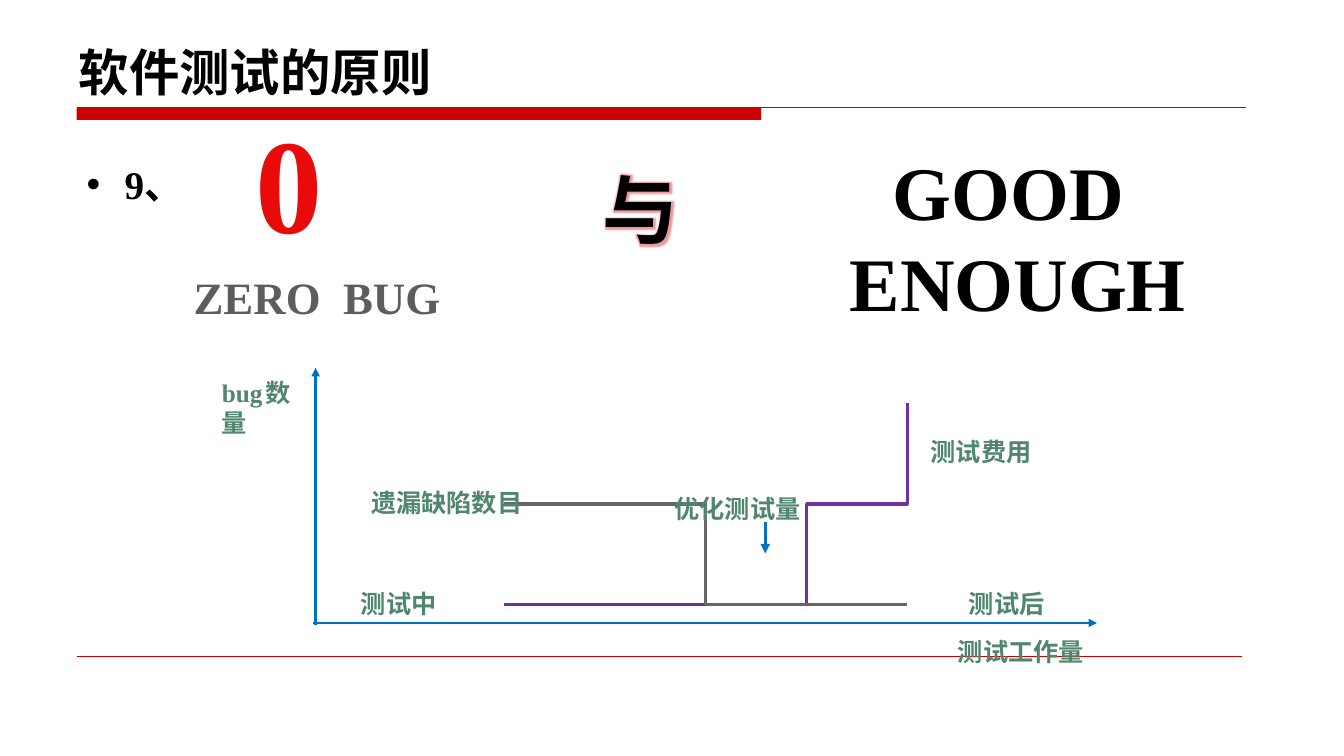
from dataclasses import dataclass

from lxml import etree
from pptx import Presentation
from pptx import util as u
from pptx.dml.color import RGBColor
from pptx.enum import shapes, text
from pptx.oxml import ns


@dataclass(frozen=True)
class Theme:
    """Colours, type sizes and font of the slide."""
    font: str = "Times New Roman"
    black: str = "000000"
    rule: str = "CC0000"
    zero: str = "E90A0A"
    glow: str = "CC0000"
    grey: str = "5D5D5D"
    axis: str = "0070C0"
    cost: str = "7030A0"
    defects: str = "666666"
    label: str = "51866E"
    title_size: int = 36
    item_size: int = 28
    zero_size: int = 96
    slogan_size: int = 54
    caption_size: int = 32
    label_size: int = 18


COST_CURVE = [
    (5.09, 6.06), (6.09, 6.02), (6.6, 5.93), (6.86, 5.88), (6.96, 5.85),
    (7.22, 5.77), (7.37, 5.72), (7.57, 5.61), (7.68, 5.57), (7.78, 5.51),
    (7.85, 5.48), (7.95, 5.41), (8, 5.39), (8.19, 5.27), (8.21, 5.23),
    (8.26, 5.21), (8.41, 5.07), (8.55, 4.93), (8.61, 4.85), (8.7, 4.77),
    (8.76, 4.69), (8.8, 4.59), (8.89, 4.44), (8.96, 4.37), (8.97, 4.33)]
DEFECT_CURVE = [
    (5.07, 4.64), (5.25, 4.66), (5.38, 4.7), (5.54, 4.76), (5.72, 4.81),
    (5.77, 4.84), (5.88, 4.87), (6.11, 4.96), (6.33, 5.05), (6.38, 5.08),
    (6.49, 5.11), (6.64, 5.17), (6.85, 5.27), (7.05, 5.34), (7.18, 5.4),
    (7.24, 5.44), (7.31, 5.46), (7.43, 5.51), (7.59, 5.56), (7.7, 5.62),
    (7.77, 5.63), (7.98, 5.69), (8.22, 5.77), (8.45, 5.82), (8.68, 5.85),
    (8.9, 5.89), (9.13, 5.93), (9.3, 5.97), (9.46, 5.99)]
LABELS = [
    ("bug数量", 2.2, 3.74, 0.68, 2.02),
    ("测试工作量", 9.5, 6.31, 1.98, 0.32),
    ("测试中", 3.58, 5.84, 1.23, 0.29),
    ("测试后", 9.61, 5.84, 1.16, 0.32),
    ("测试费用", 9.23, 4.33, 2.01, 0.33),
    ("遗漏缺陷数目", 3.68, 4.83, 2.09, 0.32),
    ("优化测试量", 6.69, 4.89, 2.02, 0.29)]


class Painter:
    """Draws styled elements on the current slide."""

    def __init__(self, page, theme):
        self.page = page
        self.theme = theme

    def set_words(self, box, wording, size, color, align):
        box.text_frame.text = wording
        for para in box.text_frame.paragraphs:
            para.alignment = align
            para.space_before = u.Pt(0)
            for span in para.runs:
                span.font.size = u.Pt(size)
                span.font.name = self.theme.font
                span.font.bold = True
                span.font.color.rgb = RGBColor.from_string(color)

    def place(self, box, left, top, width, height):
        box.left, box.top = u.Inches(left), u.Inches(top)
        box.width, box.height = u.Inches(width), u.Inches(height)

    def title(self, wording, *frame):
        box = self.page.shapes.title
        self.place(box, *frame)
        self.set_words(box, wording, self.theme.title_size, self.theme.black, text.PP_ALIGN.LEFT)
        box.text_frame.auto_size = text.MSO_AUTO_SIZE.NONE
        box.text_frame.vertical_anchor = text.MSO_ANCHOR.BOTTOM

    def item(self, wording, *frame):
        box = self.page.placeholders[1]
        self.place(box, *frame)
        box.text_frame.text = wording
        para = box.text_frame.paragraphs[0]
        properties = para._p.get_or_add_pPr()
        properties.set("marL", str(u.Inches(0.51)))
        properties.set("indent", str(-u.Inches(0.51)))
        etree.SubElement(properties, ns.qn("a:buNone"))
        self.set_words(box, wording, self.theme.item_size, self.theme.black, text.PP_ALIGN.LEFT)
        box.text_frame.paragraphs[0].line_spacing = 1.5
        box.text_frame.auto_size = text.MSO_AUTO_SIZE.NONE

    def slogan(self, wording, size, color, *frame):
        box = self.page.shapes.add_textbox(*map(u.Inches, frame))
        self.set_words(box, wording, size, color, text.PP_ALIGN.CENTER)
        box.text_frame.word_wrap = False
        return box

    def add_glow(self, box, color, radius):
        fill = box.text_frame.paragraphs[0].runs[0]._r.rPr.find(ns.qn("a:solidFill"))
        effects = etree.Element(ns.qn("a:effectLst"))
        glow = etree.SubElement(effects, ns.qn("a:glow"), rad=str(u.Pt(radius)))
        shade = etree.SubElement(glow, ns.qn("a:srgbClr"), val=color)
        etree.SubElement(shade, ns.qn("a:alpha"), val="40000")
        fill.addnext(effects)

    def label(self, wording, *frame):
        box = self.page.shapes.add_textbox(*map(u.Inches, frame))
        self.set_words(box, wording, self.theme.label_size, self.theme.label, text.PP_ALIGN.JUSTIFY)
        area = box.text_frame
        area.word_wrap = True
        area.margin_left = area.margin_right = area.margin_top = area.margin_bottom = 0

    def bar(self, color, *frame):
        box = self.page.shapes.add_shape(shapes.MSO_SHAPE.RECTANGLE, *map(u.Inches, frame))
        box.shadow.inherit = False
        box.fill.solid()
        box.fill.fore_color.rgb = RGBColor.from_string(color)
        box.line.fill.background()

    def line(self, start, end, color, width, arrow=False):
        line = self.page.shapes.add_connector(
            shapes.MSO_CONNECTOR.STRAIGHT, *map(u.Inches, (*start, *end)))
        line.line.color.rgb = RGBColor.from_string(color)
        line.line.width = u.Pt(width)
        properties = line._element.spPr
        if arrow:
            etree.SubElement(properties.find(ns.qn("a:ln")), ns.qn("a:tailEnd"), type="triangle")
        etree.SubElement(properties, ns.qn("a:effectLst"))

    def curve(self, points, color):
        builder = self.page.shapes.build_freeform(*points[0], scale=u.Inches(1))
        builder.add_line_segments(points[1:], close=False)
        curve = builder.convert_to_shape()
        curve.shadow.inherit = False
        curve.fill.background()
        curve.line.color.rgb = RGBColor.from_string(color)
        curve.line.width = u.Pt(2.25)


def main():
    deck = Presentation()
    deck.slide_width, deck.slide_height = u.Inches(13.33), u.Inches(7.5)
    theme = Theme()
    painter = Painter(deck.slides.add_slide(deck.slide_layouts[1]), theme)

    painter.bar(theme.rule, 0.76, 1.07, 6.79, 0.12)
    painter.line((0.76, 1.07), (12.36, 1.07), theme.rule, 0.75)
    painter.line((0.76, 6.51), (12.32, 6.51), theme.rule, 0.25)
    painter.title("软件测试的原则", 0.68, 0.27, 11.67, 0.79)
    painter.item("9、", 0.76, 1.31, 11.67, 4.67)

    painter.slogan("0", theme.zero_size, theme.zero, 1.89, 0.93, 1.96, 1.72)
    painter.slogan("GOOD \nENOUGH", theme.slogan_size, theme.black, 8.31, 1.39, 3.57, 1.92)
    painter.slogan("ZERO  BUG", theme.caption_size, theme.grey, 1.81, 2.63, 2.67, 0.64)
    versus = painter.slogan("与", theme.slogan_size, theme.black, 5.87, 1.57, 0.97, 1.01)
    painter.add_glow(versus, theme.glow, 5)

    painter.line((3.13, 6.2), (3.13, 3.65), theme.axis, 2, arrow=True)
    painter.line((3.1, 6.18), (10.88, 6.18), theme.axis, 2, arrow=True)
    painter.curve(COST_CURVE, theme.cost)
    painter.curve(DEFECT_CURVE, theme.defects)
    for wording, *frame in LABELS:
        painter.label(wording, *frame)
    painter.line((7.59, 5.18), (7.59, 5.49), theme.axis, 2.25, arrow=True)

    deck.save("out.pptx")


if __name__ == "__main__":
    main()
